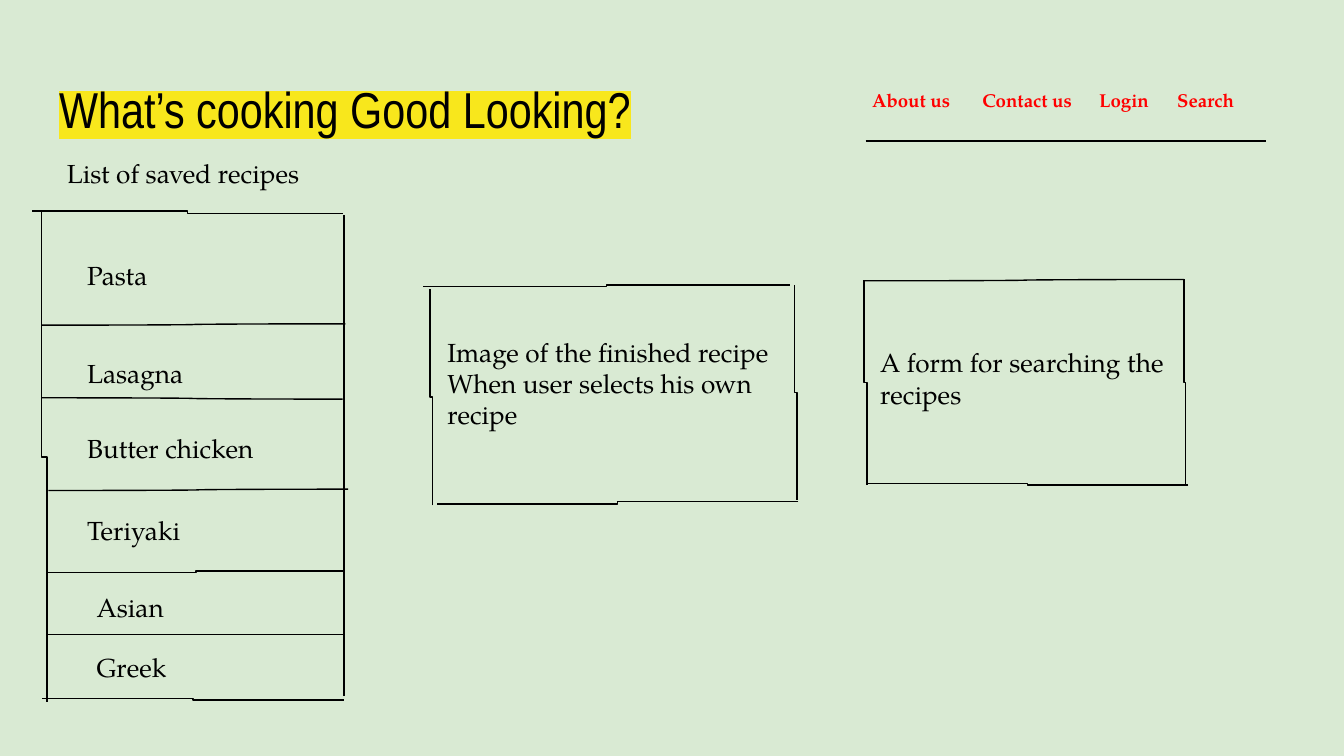
"""Build the recipe site wireframe slide."""
from lxml import etree
from pptx import Presentation
from pptx import util as u
from pptx.dml.color import RGBColor
from pptx.enum import shapes, text
from pptx.oxml.ns import qn

SERIF = "TeX Gyre Pagella"
BLACK, RED, YELLOW, GREEN = "000000", "FF0000", "F8E71C", "D9EAD3"
TITLE = "What’s cooking Good Looking?"
NAVIGATION = ["About us", "Contact us", "Login", "Search"]
NAVIGATION_STOPS = [0.82, 1.69, 2.27]

TEXTS = [
    (["List of saved recipes"], (0.4, 1.07, 2.3, 0.44)),
    (["Image of the finished recipe", "When user selects his own recipe"],
     (3.23, 2.4, 2.77, 0.91)),
    (["A form for searching the", "recipes"], (6.45, 2.48, 2.53, 0.67)),
]
RECIPES = [
    ("Pasta", 0.55, 1.83, 1.78),
    ("Lasagna", 0.55, 2.56, 1.66),
    ("Butter chicken", 0.55, 3.12, 1.66),
    ("Teriyaki", 0.55, 3.73, 1.66),
    ("Asian", 0.62, 4.3, 1.66),
    ("Greek", 0.62, 4.75, 1.66),
]
STRAIGHT_LINES = [(6.44, 1.05, 9.42, 1.05)]
BENT_LINES = [
    (3.15, 2.13, 5.88, 2.12), (5.91, 2.12, 5.93, 3.72),
    (5.94, 3.73, 3.25, 3.75), (3.22, 3.76, 3.2, 2.15),
    (0.24, 1.57, 2.55, 1.59), (2.56, 1.6, 2.56, 5.18),
    (2.56, 5.21, 0.31, 5.2), (0.35, 5.22, 0.31, 1.58),
    (8.81, 2.08, 8.82, 3.61), (8.84, 3.61, 6.45, 3.6),
    (6.45, 3.61, 6.43, 2.08),
    (0.36, 4.26, 2.56, 4.25), (0.36, 4.72, 2.57, 4.72),
]
CURVED_LINES = [
    (6.43, 2.09, 8.81, 2.08), (0.31, 2.42, 2.57, 2.41),
    (0.31, 2.96, 2.55, 2.97), (0.36, 3.65, 2.59, 3.64),
]


def color(value):
    return RGBColor.from_string(value)


def write(shape, lines, size=14, font=SERIF, fill=BLACK, bold=False,
          anchor=text.MSO_ANCHOR.TOP):
    frame = shape.text_frame
    frame.word_wrap = True
    frame.auto_size = text.MSO_AUTO_SIZE.NONE
    frame.vertical_anchor = anchor
    frame.margin_left = frame.margin_right = u.Inches(0.1)
    frame.margin_top = frame.margin_bottom = u.Inches(0.1)
    frame.text = "\n".join(lines)
    for paragraph in frame.paragraphs:
        paragraph.alignment = text.PP_ALIGN.LEFT
        for run in paragraph.runs:
            run.font.size = u.Pt(size)
            run.font.name = font
            run.font.bold = bold
            run.font.color.rgb = color(fill)
    return frame.paragraphs[0]


def add_text(slide, lines, box, **style):
    shape = slide.shapes.add_textbox(*map(u.Inches, box))
    return write(shape, lines, **style)


def add_title(slide):
    title = slide.shapes.title
    title.left, title.top, title.width, title.height = map(
        u.Inches, (0.34, 0.5, 5.03, 0.63))
    paragraph = write(title, [TITLE], size=27, font="Arial Narrow",
                      anchor=text.MSO_ANCHOR.BOTTOM)
    properties = paragraph.runs[0].font.fill._xPr
    highlight = etree.Element(qn("a:highlight"))
    etree.SubElement(highlight, qn("a:srgbClr"), val=YELLOW)
    properties.find(qn("a:solidFill")).addnext(highlight)


def add_navigation(slide):
    paragraph = add_text(slide, ["\t".join(NAVIGATION)],
                         (6.39, 0.56, 3.61, 0.37),
                         size=10, fill=RED, bold=True)
    stops = etree.SubElement(paragraph._p.get_or_add_pPr(), qn("a:tabLst"))
    for stop in NAVIGATION_STOPS:
        etree.SubElement(stops, qn("a:tab"), pos=str(u.Inches(stop)), algn="l")


def add_line(slide, kind, points):
    x1, y1, x2, y2 = points
    across, down = x2 - x1, y2 - y1
    vertical = abs(down) > abs(across)
    rotation = 0
    if vertical:
        sign, rotation = (-1, 270) if down > 0 else (1, 90)
        middle_x, middle_y = (x1 + x2) / 2, (y1 + y2) / 2
        half_x, half_y = sign * down / 2, -sign * across / 2
        points = (middle_x - half_x, middle_y - half_y,
                  middle_x + half_x, middle_y + half_y)
    line = slide.shapes.add_connector(kind, *map(u.Inches, points))
    line.line.color.rgb = color(BLACK)
    line.line.width = u.Pt(0.75)
    properties = line._element.spPr
    etree.SubElement(properties, qn("a:effectLst"))
    if rotation:
        properties.find(qn("a:xfrm")).set("rot", str(rotation * 60000))


def main():
    presentation = Presentation()
    presentation.slide_width = u.Inches(10)
    presentation.slide_height = u.Inches(10) * 9 // 16
    slide = presentation.slides.add_slide(presentation.slide_layouts[5])
    slide.background.fill.solid()
    slide.background.fill.fore_color.rgb = color(GREEN)
    add_title(slide)
    add_navigation(slide)
    for lines, box in TEXTS:
        add_text(slide, lines, box)
    for name, left, top, width in RECIPES:
        add_text(slide, [name], (left, top, width, 0.44))
    for kind, group in (
        (shapes.MSO_CONNECTOR.STRAIGHT, STRAIGHT_LINES),
        (shapes.MSO_CONNECTOR.ELBOW, BENT_LINES),
        (shapes.MSO_CONNECTOR.CURVE, CURVED_LINES),
    ):
        for points in group:
            add_line(slide, kind, points)
    presentation.save("out.pptx")


if __name__ == "__main__":
    main()
